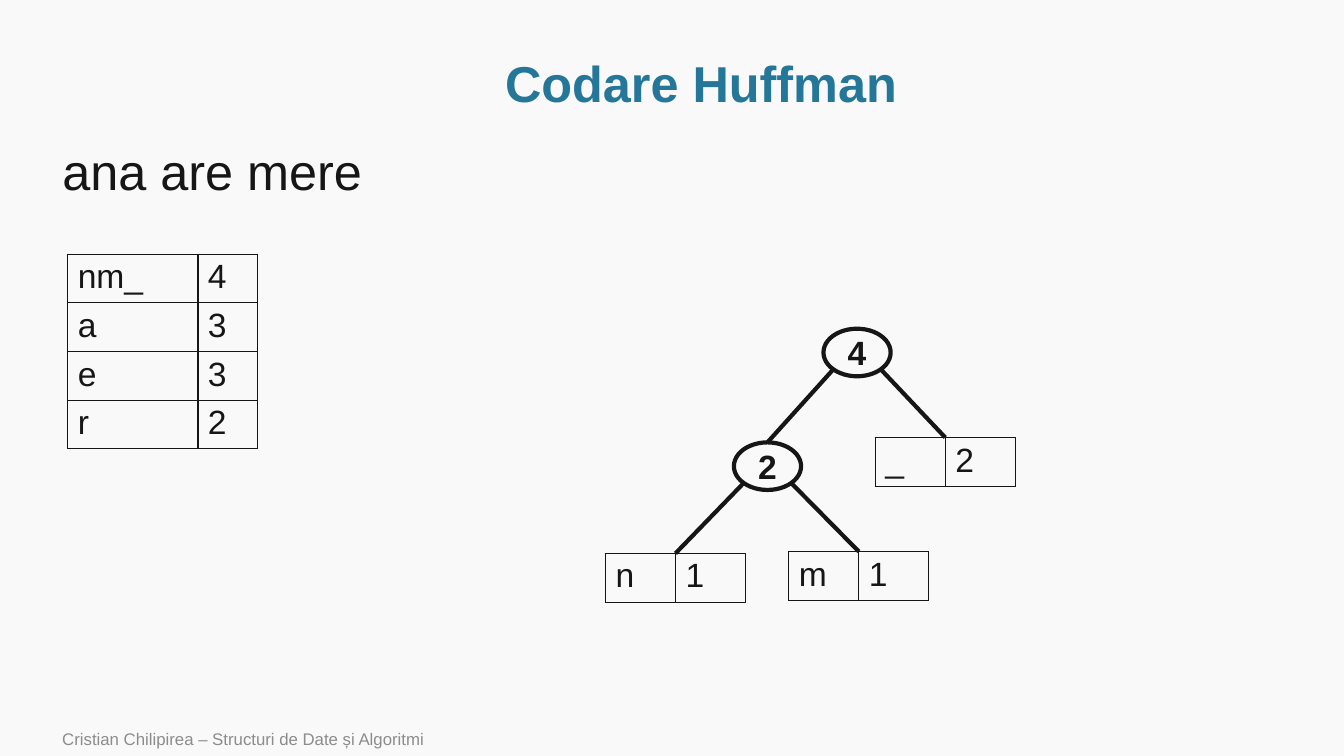
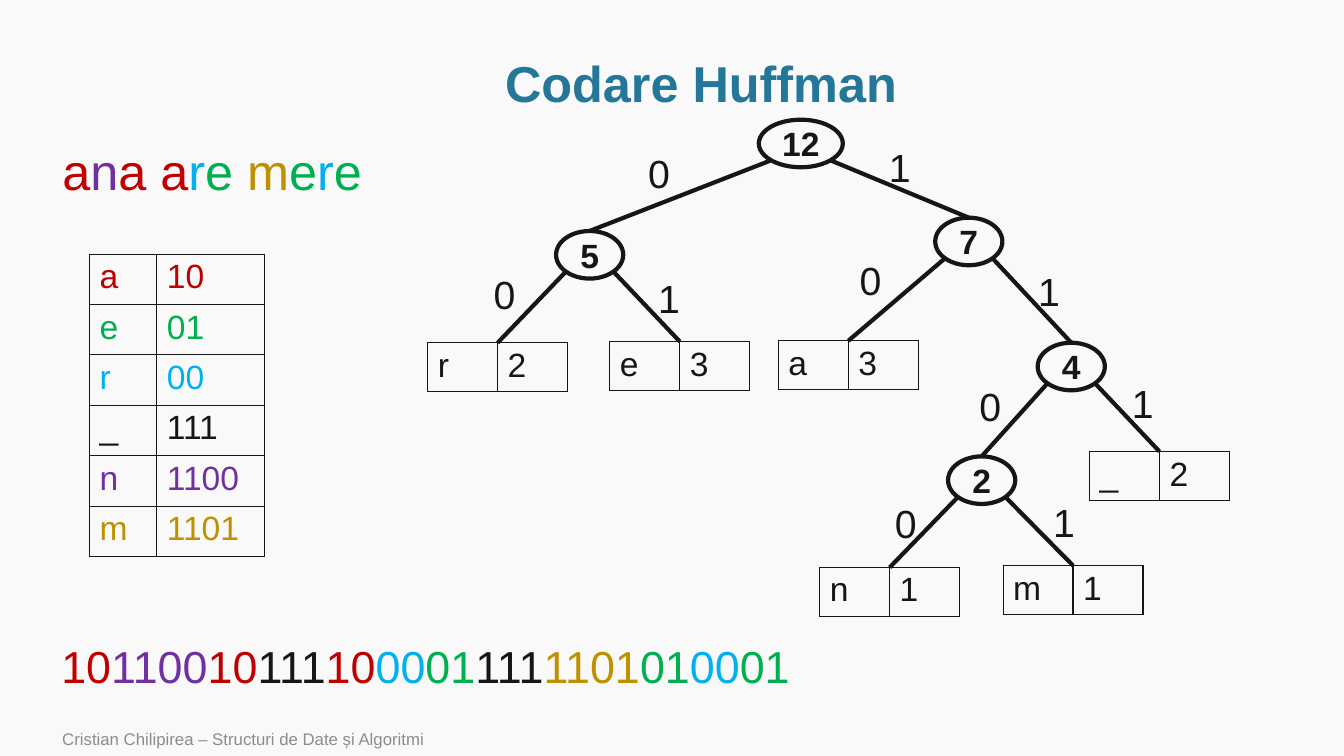
from dataclasses import dataclass

from lxml.etree import SubElement
from pptx import Presentation
from pptx.dml.color import RGBColor
from pptx.enum.shapes import MSO_CONNECTOR, MSO_SHAPE
from pptx.enum.text import MSO_ANCHOR, MSO_AUTO_SIZE, PP_ALIGN
from pptx.oxml.ns import qn
from pptx.util import Pt

FONT = "Arial"
PAPER = RGBColor(0xF9, 0xF9, 0xF9)
INK = RGBColor(0x17, 0x16, 0x16)
TITLE_BLUE = RGBColor(0x24, 0x77, 0x98)
FOOTER_GRAY = RGBColor(0x8C, 0x8C, 0x8C)
RED = RGBColor(0xC0, 0x00, 0x00)
GREEN = RGBColor(0x00, 0xB0, 0x50)
SKY = RGBColor(0x00, 0xB0, 0xF0)
PURPLE = RGBColor(0x70, 0x30, 0xA0)
GOLD = RGBColor(0xBF, 0x90, 0x00)

TITLE = "Codare Huffman"
FOOTER = "Cristian Chilipirea – Structuri de Date și Algoritmi"
MESSAGE = "ana are mere"
CODES = {"a": "10", "e": "01", "r": "00", "_": "111", "n": "1100", "m": "1101"}
COLORS = {"a": RED, "e": GREEN, "r": SKY, "_": INK, "n": PURPLE, "m": GOLD}

NODE_HEIGHT = 34
LEAF_COLUMN = 50
CELL_HEIGHT = 34


@dataclass
class Leaf:
    symbol: str
    count: int
    center: float
    top: float
    bit_at: tuple


@dataclass
class Node:
    count: int
    center: float
    top: float
    children: tuple
    bit_at: tuple = None
    width: float = 48


SPACE_TREE = Node(4, 765.2, 244.8, (
    Node(2, 701.2, 326, (
        Leaf("n", 1, 635.5, 405.3, (632.2, 352.8)),
        Leaf("m", 1, 766.5, 404, (745.2, 352.1)),
    ), (692.6, 269.3)),
    Leaf("_", 2, 828.2, 322.5, (801.4, 267.1)),
), (734.4, 187.2))

FULL_TREE = Node(12, 572, 85.5, (
    Node(5, 421.2, 165, (
        Leaf("r", 2, 355.5, 244.8, (345.6, 189.4)),
        Leaf("e", 3, 485.6, 244, (463, 192.2)),
    ), (455.8, 103)),
    Node(7, 692, 155.5, (
        Leaf("a", 3, 606, 243.4, (607, 179.3)),
        SPACE_TREE,
    ), (627.8, 98.6)),
), width=60)


def style(font, size, color, bold=False):
    font.name = FONT
    font.size = Pt(size)
    font.bold = bold
    font.color.rgb = color


def add_text(slide, box, pieces, size, wrap=True):
    frame = slide.shapes.add_textbox(*map(Pt, box)).text_frame
    frame.word_wrap = wrap
    paragraph = frame.paragraphs[0]
    for text, color in pieces:
        run = paragraph.add_run()
        run.text = text
        style(run.font, size, color)
    return frame


def add_titled_slide(prs, message):
    slide = prs.slides.add_slide(prs.slide_layouts[5])
    title = slide.shapes.title
    title.left, title.top, title.width, title.height = map(Pt, (82, 36.7, 837.5, 49.7))
    title.text_frame.text = TITLE
    title.text_frame.vertical_anchor = MSO_ANCHOR.MIDDLE
    heading = title.text_frame.paragraphs[0]
    heading.alignment = PP_ALIGN.CENTER
    heading.line_spacing = 0.9
    style(heading.runs[0].font, 36, TITLE_BLUE, bold=True)

    footer = add_text(slide, (37.4, 515.5, 604.8, 24.5), [(FOOTER, FOOTER_GRAY)], 12)
    footer.vertical_anchor = MSO_ANCHOR.MIDDLE
    body = add_text(slide, (37.4, 101.5, 882, 394.6), message, 36)
    body.paragraphs[0].line_spacing = 0.9
    return slide


def add_borders(cell):
    properties = cell._tc.get_or_add_tcPr()
    for side in ("a:lnL", "a:lnR", "a:lnT", "a:lnB"):
        border = SubElement(properties, qn(side), w=str(Pt(1)))
        fill = SubElement(border, qn("a:solidFill"))
        SubElement(fill, qn("a:srgbClr"), val=str(INK))


def add_grid(slide, left, top, widths, rows, row_height=CELL_HEIGHT, colors=None):
    frame = slide.shapes.add_table(len(rows), len(widths), Pt(left), Pt(top),
                                   Pt(sum(widths)), Pt(row_height * len(rows)))
    table = frame.table
    table.first_row = table.horz_banding = False
    for column, width in zip(table.columns, widths):
        column.width = Pt(width)
    for row, values in zip(table.rows, rows):
        row.height = Pt(row_height)
        color = colors[values[0]] if colors else INK
        for cell, value in zip(row.cells, values):
            add_borders(cell)
            cell.fill.background()
            cell.margin_top = cell.margin_bottom = Pt(3)
            cell.text_frame.text = str(value)
            style(cell.text_frame.paragraphs[0].runs[0].font, 24, color)


def add_node(slide, node, center, top):
    oval = slide.shapes.add_shape(MSO_SHAPE.OVAL, Pt(center - node.width / 2), Pt(top),
                                  Pt(node.width), Pt(NODE_HEIGHT))
    oval.shadow.inherit = False
    oval.fill.background()
    oval.line.color.rgb = INK
    oval.line.width = Pt(3)
    frame = oval.text_frame
    frame.margin_left = frame.margin_right = frame.margin_top = frame.margin_bottom = 0
    frame.vertical_anchor = MSO_ANCHOR.MIDDLE
    frame.text = str(node.count)
    frame.paragraphs[0].alignment = PP_ALIGN.CENTER
    style(frame.paragraphs[0].runs[0].font, 24, INK, bold=True)
    return oval


def add_edge(slide, start, end, child_oval):
    edge = slide.shapes.add_connector(MSO_CONNECTOR.STRAIGHT, *map(Pt, start + end))
    edge.line.color.rgb = INK
    edge.line.width = Pt(3)
    SubElement(edge._element.spPr, qn("a:effectLst"))
    if child_oval is not None:
        edge.end_connect(child_oval, 0)


def add_bit(slide, bit, position):
    frame = add_text(slide, position + (30, 41), [(str(bit), INK)], 28, wrap=False)
    frame.auto_size = MSO_AUTO_SIZE.SHAPE_TO_FIT_TEXT


def add_tree(slide, part, dx=0, dy=0, show_bits=True):
    center, top = part.center + dx, part.top + dy
    if isinstance(part, Leaf):
        add_grid(slide, center - LEAF_COLUMN, top, (LEAF_COLUMN, LEAF_COLUMN),
                 [(part.symbol, part.count)])
        return None
    oval = add_node(slide, part, center, top)
    diagonal = 0.5 ** 0.5
    edge_top = top + NODE_HEIGHT / 2 * (1 + diagonal)
    for bit, child in enumerate(part.children):
        child_oval = add_tree(slide, child, dx, dy, show_bits)
        side = 1 if bit else -1
        start = (center + side * part.width / 2 * diagonal, edge_top)
        add_edge(slide, start, (child.center + dx, child.top + dy), child_oval)
        if show_bits:
            add_bit(slide, bit, child.bit_at)
    return oval


def add_merge_step(prs):
    slide = add_titled_slide(prs, [(MESSAGE, INK)])
    add_grid(slide, 48.4, 181.5, (93, 42.5),
             [("nm_", 4), ("a", 3), ("e", 3), ("r", 2)])
    add_tree(slide, SPACE_TREE, dx=-153, dy=-10, show_bits=False)


def add_final_code(prs):
    symbols = MESSAGE.replace(" ", "_")
    message = [(letter, COLORS[symbol]) for letter, symbol in zip(MESSAGE, symbols)]
    slide = add_titled_slide(prs, message)
    add_tree(slide, FULL_TREE)
    add_grid(slide, 64, 181.5, (48, 77), list(CODES.items()), 36, COLORS)
    encoded = [(CODES[symbol], COLORS[symbol]) for symbol in symbols]
    add_text(slide, (36.7, 453, 613.5, 46), encoded, 32)


def main():
    prs = Presentation()
    prs.slide_width, prs.slide_height = Pt(960), Pt(540)
    background = prs.slide_master.background.fill
    background.solid()
    background.fore_color.rgb = PAPER
    add_merge_step(prs)
    add_final_code(prs)
    prs.save("out.pptx")


if __name__ == "__main__":
    main()
